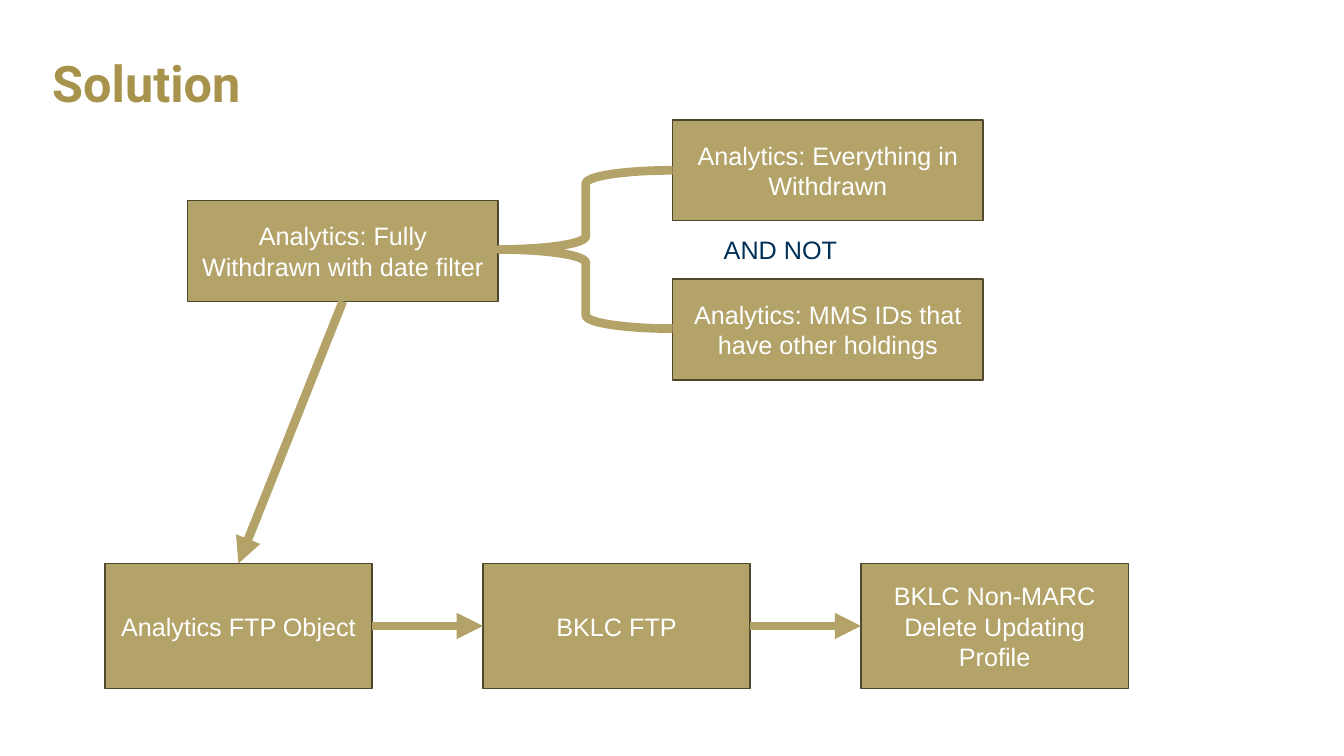
from lxml import etree
from pptx import Presentation
from pptx import util as u
from pptx.dml.color import RGBColor
from pptx.enum import shapes, text
from pptx.oxml import ns

COLORS = {"gold": "B3A369", "title": "A7934B", "edge": "4E472E",
          "white": "FFFFFF", "navy": "003057"}
BOTTOM, LEFT, RIGHT, TOP = 2, 1, 3, 0
THICK = 6.25


def rgb(name):
    return RGBColor.from_string(COLORS[name])


def style_line(line, color, width):
    line.color.rgb = rgb(color)
    line.width = u.Pt(width)


def write(shape, words, color, size=18, face="Arial", bold=False):
    frame = shape.text_frame
    frame.word_wrap = True
    para = frame.paragraphs[0]
    para.text = words
    font = para.font
    font.name, font.size, font.bold = face, u.Pt(size), bold
    font.color.rgb = rgb(color)
    return frame


def add_label(slide, words, left, top, width, height, color, **font):
    label = slide.shapes.add_textbox(*map(u.Inches, (left, top, width, height)))
    return write(label, words, color, **font)


def add_box(slide, words, left, top, width, height):
    box = slide.shapes.add_shape(shapes.MSO_SHAPE.RECTANGLE,
                                 *map(u.Inches, (left, top, width, height)))
    box.shadow.inherit = False
    box.fill.solid()
    box.fill.fore_color.rgb = rgb("gold")
    style_line(box.line, "edge", 1)
    frame = write(box, words, "white")
    frame.vertical_anchor = text.MSO_ANCHOR.MIDDLE
    frame.paragraphs[0].alignment = text.PP_ALIGN.CENTER
    return box


def add_brace(slide, left, top, width, height):
    brace = slide.shapes.add_shape(shapes.MSO_SHAPE.LEFT_BRACE,
                                   *map(u.Inches, (left, top, width, height)))
    brace.shadow.inherit = False
    brace.fill.background()
    style_line(brace.line, "gold", THICK)


def add_arrow(slide, start, start_side, end, end_side):
    arrow = slide.shapes.add_connector(shapes.MSO_CONNECTOR.STRAIGHT, 0, 0, 0, 0)
    arrow.begin_connect(start, start_side)
    arrow.end_connect(end, end_side)
    style_line(arrow.line, "gold", THICK)
    etree.SubElement(arrow.line._get_or_add_ln(), ns.qn("a:tailEnd"), type="triangle")
    etree.SubElement(arrow._element.spPr, ns.qn("a:effectLst"))


def main():
    deck = Presentation()
    deck.slide_width, deck.slide_height = u.Inches(13.33), u.Inches(7.5)
    slide = deck.slides.add_slide(deck.slide_layouts[6])

    # Title
    title = add_label(slide, "Solution", 0.42, 0.3, 12.5, 1.11, "title",
                      size=36, face="Roboto", bold=True)
    title.vertical_anchor = text.MSO_ANCHOR.MIDDLE
    title.paragraphs[0].line_spacing = 0.9

    # Delivery steps
    steps = ["Analytics FTP Object", "BKLC FTP", "BKLC Non-MARC Delete Updating Profile"]
    chain = [add_box(slide, words, 1.04 + 3.75 * i, 5.59, 2.65, 1.24)
             for i, words in enumerate(steps)]
    for start, end in zip(chain, chain[1:]):
        add_arrow(slide, start, RIGHT, end, LEFT)

    # Analytics queries
    add_box(slide, "Analytics: Everything in Withdrawn", 6.67, 1.19, 3.08, 1)
    add_box(slide, "Analytics: MMS IDs that have other holdings", 6.67, 2.77, 3.08, 1)
    filtered = add_box(slide, "Analytics: Fully Withdrawn with date filter",
                       1.86, 1.99, 3.08, 1)
    add_label(slide, "AND NOT", 7.08, 2.28, 2.03, 0.4, "navy")
    add_brace(slide, 4.95, 1.69, 1.72, 1.57)
    add_arrow(slide, filtered, BOTTOM, chain[0], TOP)

    deck.save("out.pptx")


if __name__ == "__main__":
    main()
